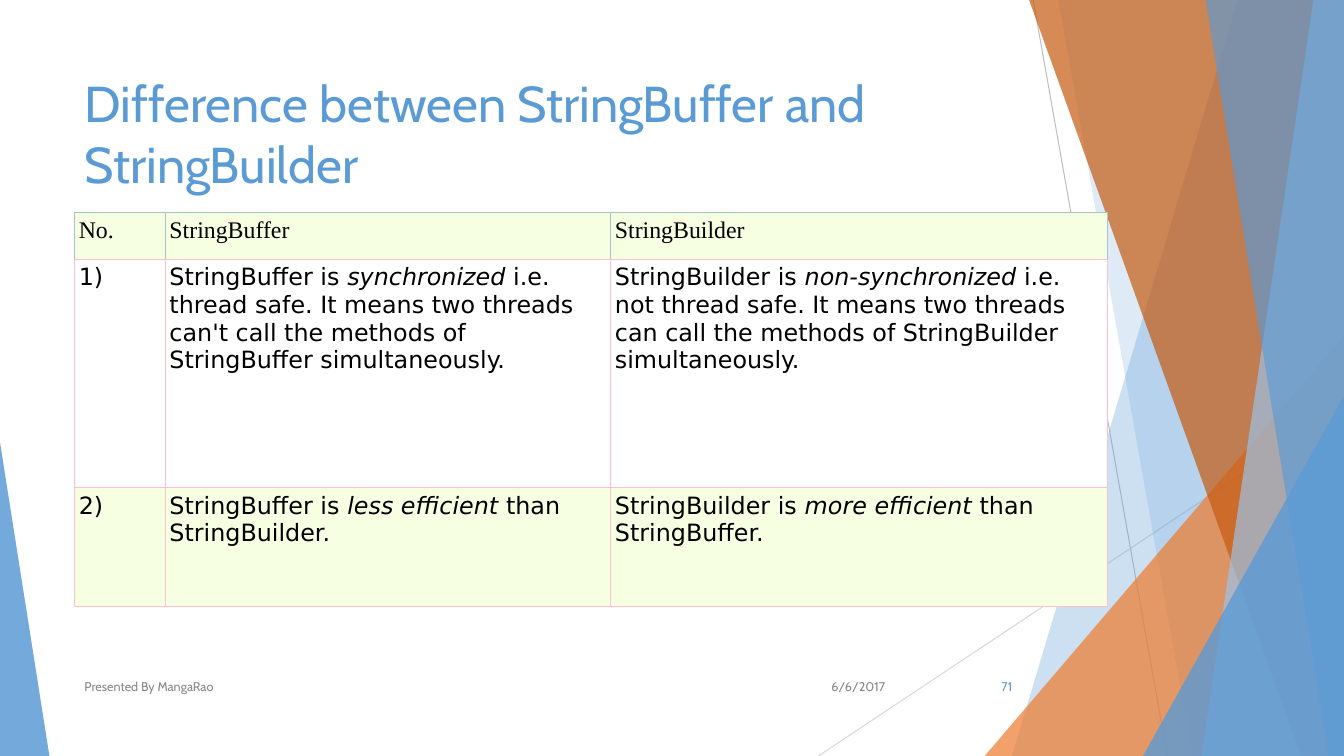
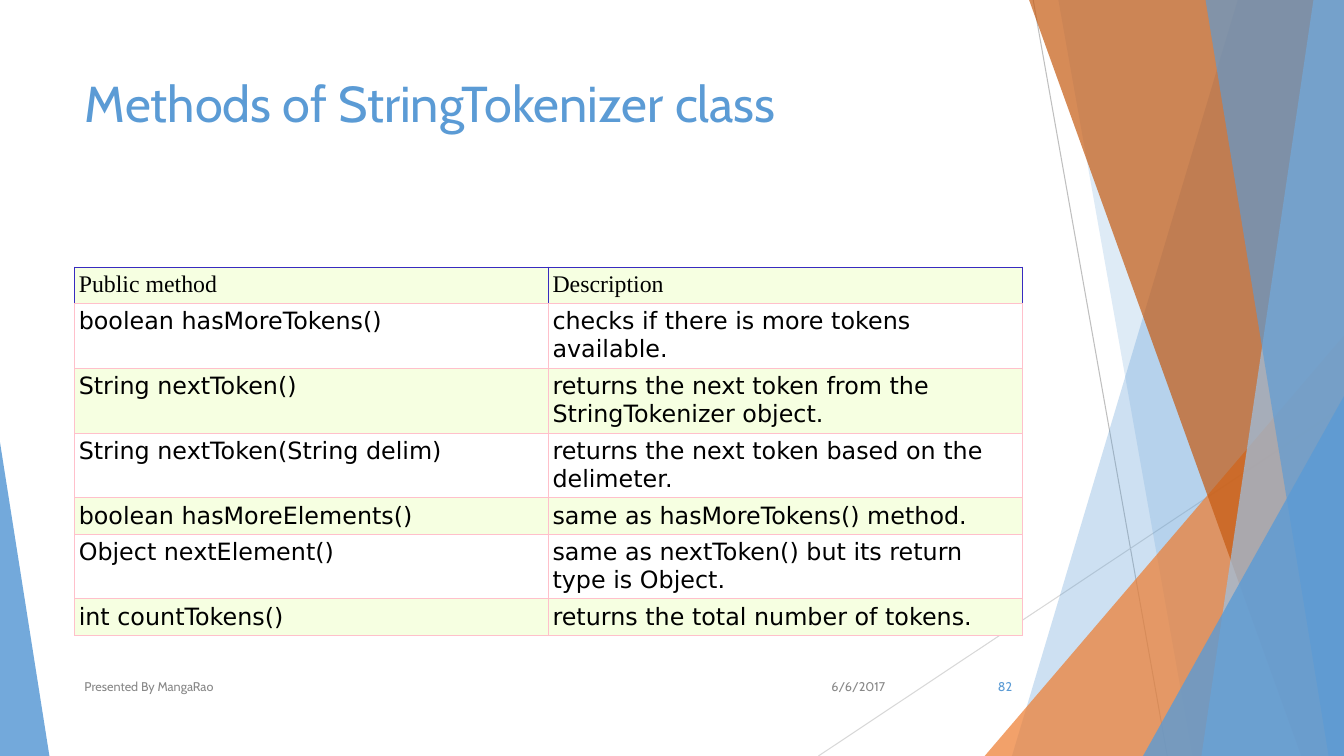
from dataclasses import dataclass
from typing import Optional

from lxml.etree import SubElement
from pptx import Presentation
from pptx.dml.color import RGBColor
from pptx.enum.shapes import MSO_CONNECTOR, MSO_SHAPE
from pptx.enum.text import MSO_ANCHOR, MSO_AUTO_SIZE, PP_ALIGN
from pptx.oxml.ns import qn
from pptx.util import Pt

WIDTH, HEIGHT = 960, 540
MARGIN = 53.3

BLUE = RGBColor(0x5B, 0x9B, 0xD5)
LIGHT_BLUE = RGBColor(0x9C, 0xC2, 0xE5)
ORANGE = RGBColor(0xED, 0x7D, 0x31)
DARK_ORANGE = RGBColor(0xC5, 0x5A, 0x11)
GREY = RGBColor(0xBF, 0xBF, 0xBF)
PALE_GREY = RGBColor(0xD8, 0xD8, 0xD8)
FOOTER_GREY = RGBColor(0x88, 0x88, 0x88)
BLACK = RGBColor(0, 0, 0)
WHITE = RGBColor(0xFF, 0xFF, 0xFF)
PALE_GREEN = RGBColor(0xF6, 0xFF, 0xE1)
PINK = RGBColor(0xFF, 0xC0, 0xCB)
TEAL = RGBColor(0xA8, 0xC3, 0xC8)
INDIGO = RGBColor(0x38, 0x2B, 0xC0)

THEME_FONT = "Cabin"
HEADER_FONT = "Times New Roman"
BODY_FONT = "DejaVu Sans"


@dataclass(frozen=True)
class Ray:
    """A thin line of the backdrop."""
    start: tuple[float, float]
    end: tuple[float, float]
    color: RGBColor


@dataclass(frozen=True)
class Band:
    """A full-height band from a slanted left edge to the right slide edge."""
    top_x: float
    bottom_x: float
    color: RGBColor
    opacity: int


@dataclass(frozen=True)
class Wedge:
    """A right-angled triangle standing on the bottom slide edge."""
    left: float
    top: float
    width: float
    apex: float
    color: RGBColor
    opacity: int


@dataclass(frozen=True)
class FooterItem:
    """Place and style of one footer text."""
    left: float
    width: float
    align: PP_ALIGN
    color: RGBColor


@dataclass(frozen=True)
class TableSlide:
    """Content of one slide; asterisks in a cell enclose italic words."""
    title: str
    number: str
    top: float
    header_border: RGBColor
    columns: list[float]
    heights: list[float]
    rows: list[list[str]]


RAYS = [
    Ray((738, 0), (833.8, HEIGHT), GREY),
    Ray((WIDTH, 290.2), (584.6, HEIGHT), PALE_GREY),
]
BACKDROP = [
    Band(884.2, 722.9, BLUE, 30),
    Band(756, 851.8, BLUE, 20),
    Wedge(703.4, 239.8, 256.6, 1, ORANGE, 72),
    Band(735.1, 929.5, DARK_ORANGE, 70),
    Band(938.2, 858.2, LIGHT_BLUE, 70),
    Band(861.1, 949, BLUE, 65),
    Wedge(816.5, 283, 143.5, 1, BLUE, 80),
    Wedge(0, 316, 35.3, 0, BLUE, 85),
]
DATE = FooterItem(567.4, 72, PP_ALIGN.RIGHT, FOOTER_GREY)
PRESENTER = FooterItem(MARGIN, 496, PP_ALIGN.LEFT, FOOTER_GREY)
PAGE_NUMBER = FooterItem(676.1, 54, PP_ALIGN.RIGHT, BLUE)

ONE_LINE, TWO_LINES = 25.9, 46.3
SLIDES = [
    TableSlide(
        "Difference between StringBuffer and StringBuilder", "71", 151.9, TEAL,
        [64.8, 318.2, 355], [33.4, 163.2, 85],
        [["No.", "StringBuffer", "StringBuilder"],
         ["1)",
          "StringBuffer is *synchronized* i.e. thread safe. It means two threads "
          "can't call the methods of StringBuffer simultaneously.",
          "StringBuilder is *non-synchronized* i.e. not thread safe. It means two "
          "threads can call the methods of StringBuilder simultaneously."],
         ["2)",
          "StringBuffer is *less efficient* than StringBuilder.",
          "StringBuilder is *more efficient* than StringBuffer."]]),
    TableSlide(
        "Methods of StringTokenizer class", "82", 190.8, INDIGO,
        [338.4, 338.4],
        [ONE_LINE, TWO_LINES, TWO_LINES, TWO_LINES, ONE_LINE, TWO_LINES, ONE_LINE],
        [["Public method", "Description"],
         ["boolean hasMoreTokens()", "checks if there is more tokens available."],
         ["String nextToken()",
          "returns the next token from the StringTokenizer object."],
         ["String nextToken(String delim)",
          "returns the next token based on the delimeter."],
         ["boolean hasMoreElements()", "same as hasMoreTokens() method."],
         ["Object nextElement()",
          "same as nextToken() but its return type is Object."],
         ["int countTokens()", "returns the total number of tokens."]]),
]


def style_run(run, font: str, size: float, color: RGBColor,
              italic: Optional[bool] = None) -> None:
    """Format one run of text."""
    run.font.name = font
    run.font.size = Pt(size)
    run.font.color.rgb = color
    run.font.italic = italic


def draw_ray(slide, ray: Ray) -> None:
    """Draw a thin line without a shadow."""
    connector = slide.shapes.add_connector(
        MSO_CONNECTOR.STRAIGHT, *map(Pt, ray.start + ray.end))
    connector.line.color.rgb = ray.color
    connector.line.width = Pt(0.75)
    SubElement(connector.element.spPr, qn("a:effectLst"))


def draw_backdrop_part(slide, part: Band | Wedge) -> None:
    """Draw a translucent band or wedge."""
    if isinstance(part, Band):
        builder = slide.shapes.build_freeform(Pt(part.top_x), 0)
        corners = [(WIDTH, 0), (WIDTH, HEIGHT), (part.bottom_x, HEIGHT)]
        builder.add_line_segments([(Pt(x), Pt(y)) for x, y in corners])
        shape = builder.convert_to_shape()
    else:
        shape = slide.shapes.add_shape(
            MSO_SHAPE.ISOSCELES_TRIANGLE, Pt(part.left), Pt(part.top),
            Pt(part.width), Pt(HEIGHT - part.top))
        shape.adjustments[0] = part.apex
    shape.shadow.inherit = False
    shape.line.fill.background()
    shape.fill.solid()
    shape.fill.fore_color.rgb = part.color
    color = shape.element.spPr.find(f".//{qn('a:srgbClr')}")
    SubElement(color, qn("a:alpha"), val=str(part.opacity * 1000))


def format_title(slide, title: str) -> None:
    """Fill, place and format the title placeholder."""
    shape = slide.shapes.title
    shape.left, shape.top = Pt(MARGIN), Pt(48)
    shape.width, shape.height = Pt(676.8), Pt(104)
    text_frame = shape.text_frame
    text_frame.text = title
    text_frame.word_wrap = True
    text_frame.auto_size = MSO_AUTO_SIZE.NONE
    text_frame.vertical_anchor = MSO_ANCHOR.TOP
    paragraph = text_frame.paragraphs[0]
    paragraph.alignment = PP_ALIGN.LEFT
    style_run(paragraph.runs[0], THEME_FONT, 36, BLUE)


def draw_footer_item(slide, item: FooterItem, text: str) -> None:
    """Write one text in the footer line."""
    box = slide.shapes.add_textbox(Pt(item.left), Pt(476), Pt(item.width), Pt(28.8))
    text_frame = box.text_frame
    text_frame.text = text
    text_frame.word_wrap = True
    text_frame.vertical_anchor = MSO_ANCHOR.MIDDLE
    paragraph = text_frame.paragraphs[0]
    paragraph.alignment = item.align
    style_run(paragraph.runs[0], THEME_FONT, 9, item.color)


def set_borders(cell, side_color: RGBColor) -> None:
    """Colour the left, right and top borders; the bottom one is pink."""
    properties = cell._tc.get_or_add_tcPr()
    for side, color in zip("LRTB", [side_color] * 3 + [PINK]):
        line = SubElement(properties, qn(f"a:ln{side}"), w=str(Pt(0.75)))
        fill = SubElement(line, qn("a:solidFill"))
        SubElement(fill, qn("a:srgbClr"), val=str(color))


def fill_cell(cell, text: str, font: str, fill: RGBColor, border: RGBColor) -> None:
    """Write one table cell, with every second part in italics."""
    cell.margin_left = cell.margin_right = Pt(3)
    cell.margin_top = cell.margin_bottom = Pt(3)
    set_borders(cell, border)
    cell.fill.solid()
    cell.fill.fore_color.rgb = fill
    paragraph = cell.text_frame.paragraphs[0]
    for index, part in enumerate(text.split("*")):
        run = paragraph.add_run()
        run.text = part
        style_run(run, font, 17, BLACK, italic=index % 2 == 1)


def draw_table(slide, content: TableSlide) -> None:
    """Draw the table with a header row and alternating row fills."""
    frame = slide.shapes.add_table(
        len(content.rows), len(content.columns), Pt(MARGIN), Pt(content.top),
        Pt(sum(content.columns)), Pt(sum(content.heights)))
    table = frame.table
    table.first_row = table.horz_banding = False
    for column, width in zip(table.columns, content.columns):
        column.width = Pt(width)
    for index, texts in enumerate(content.rows):
        row = table.rows[index]
        row.height = Pt(content.heights[index])
        font = BODY_FONT if index else HEADER_FONT
        border = PINK if index else content.header_border
        fill = WHITE if index % 2 else PALE_GREEN
        for cell, text in zip(row.cells, texts):
            fill_cell(cell, text, font, fill, border)


def build_slide(presentation, content: TableSlide) -> None:
    """Add one slide with backdrop, title, table and footer."""
    slide = presentation.slides.add_slide(presentation.slide_layouts[5])
    for ray in RAYS:
        draw_ray(slide, ray)
    for part in BACKDROP:
        draw_backdrop_part(slide, part)
    format_title(slide, content.title)
    draw_table(slide, content)
    draw_footer_item(slide, DATE, "6/6/2017")
    draw_footer_item(slide, PRESENTER, "Presented By MangaRao")
    draw_footer_item(slide, PAGE_NUMBER, content.number)


def main() -> None:
    """Build and save the presentation."""
    presentation = Presentation()
    presentation.slide_width, presentation.slide_height = Pt(WIDTH), Pt(HEIGHT)
    for content in SLIDES:
        build_slide(presentation, content)
    presentation.save("out.pptx")


main()
